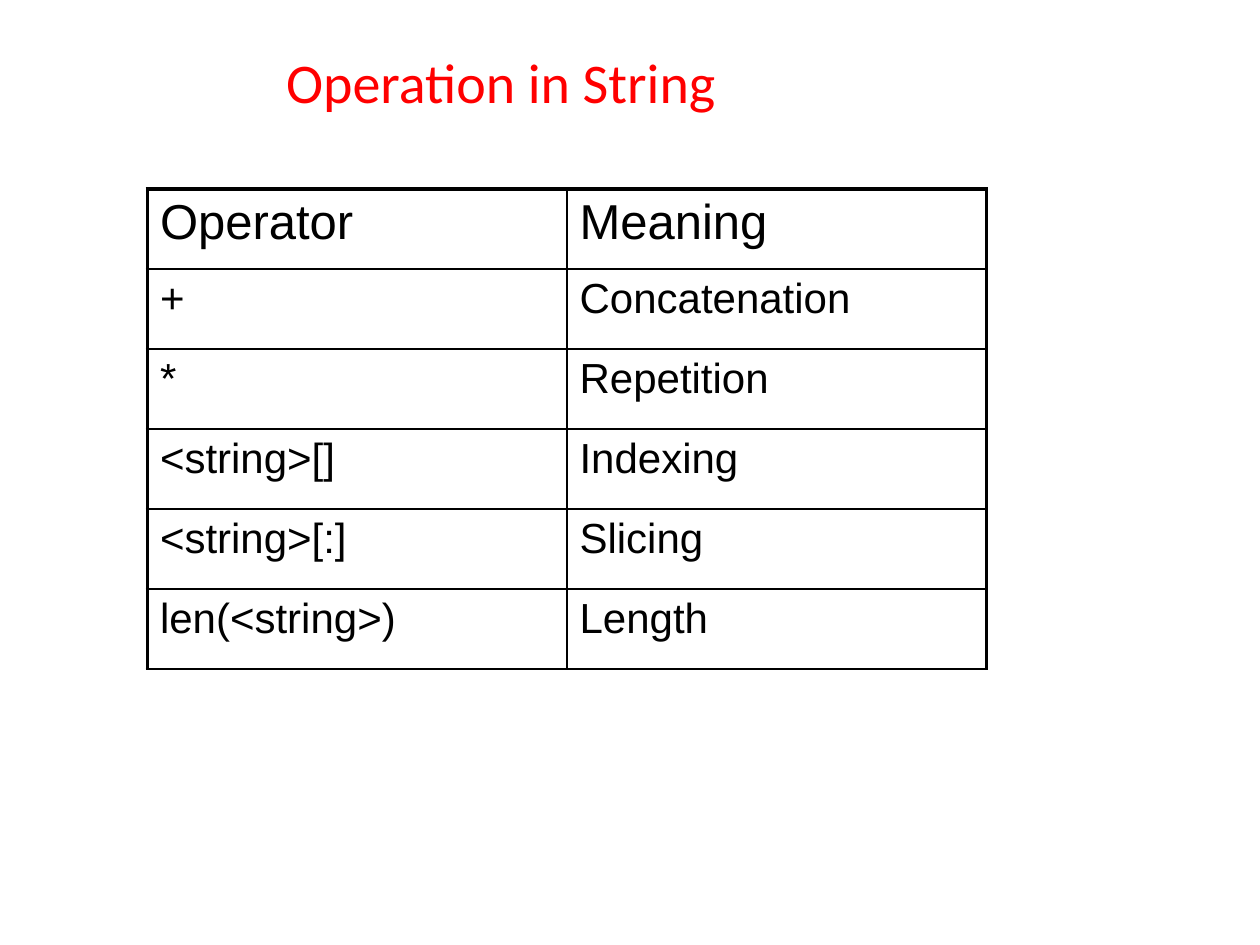
"""Build a slide that lists the string operators and their meanings."""
from lxml.etree import SubElement
from pptx import Presentation
from pptx.dml.color import RGBColor
from pptx.enum.text import MSO_ANCHOR, PP_ALIGN
from pptx.oxml.ns import qn
from pptx.util import Inches, Pt


def add_span(para, text, font, size, colour):
    span = para.add_run()
    span.text = text
    span.font.name = font
    span.font.size = Pt(size)
    span.font.color.rgb = RGBColor.from_string(colour)


def add_border(cell, side, width, colour):
    line = SubElement(cell._tc.get_or_add_tcPr(), qn(f"a:ln{side}"), w=str(Pt(width)))
    SubElement(SubElement(line, qn("a:solidFill")), qn("a:srgbClr"), val=colour)


RED, BLACK = "FF0000", "000000"
THICK, THIN = 2.25, 1
OPERATORS = [
    ("Operator", "Meaning"),
    ("+", "Concatenation"),
    ("*", "Repetition"),
    ("<string>[]", "Indexing"),
    ("<string>[:]", "Slicing"),
    ("len(<string>)", "Length"),
]

deck = Presentation()
deck.slide_width, deck.slide_height = Inches(10), Inches(7.5)
page = deck.slides.add_slide(deck.slide_layouts[5])

title = page.shapes.title
title.left, title.top = Inches(2.17), Inches(0.33)
title.width, title.height = Inches(3.65), Inches(0.64)
title.text_frame.word_wrap = False
title.text_frame.vertical_anchor = MSO_ANCHOR.TOP
para = title.text_frame.paragraphs[0]
para.alignment = PP_ALIGN.LEFT
add_span(para, "Operation in String", "Calibri", 32, RED)

column_width, row_height = Inches(3.33), Inches(0.635)
table = page.shapes.add_table(
    len(OPERATORS), 2, Inches(1.17), Inches(1.5),
    2 * column_width, len(OPERATORS) * row_height,
).table
table.first_row = table.horz_banding = False

for row, texts in enumerate(OPERATORS):
    for column, text in enumerate(texts):
        cell = table.cell(row, column)
        add_border(cell, "L", THICK if column == 0 else THIN, BLACK)
        add_border(cell, "R", THICK if column == 1 else THIN, BLACK)
        add_border(cell, "T", THICK if row == 0 else THIN, BLACK)
        add_border(cell, "B", THIN, BLACK)
        cell.fill.background()
        add_span(cell.text_frame.paragraphs[0], text, "Arial", 28 if row == 0 else 24, BLACK)

deck.save("out.pptx")
